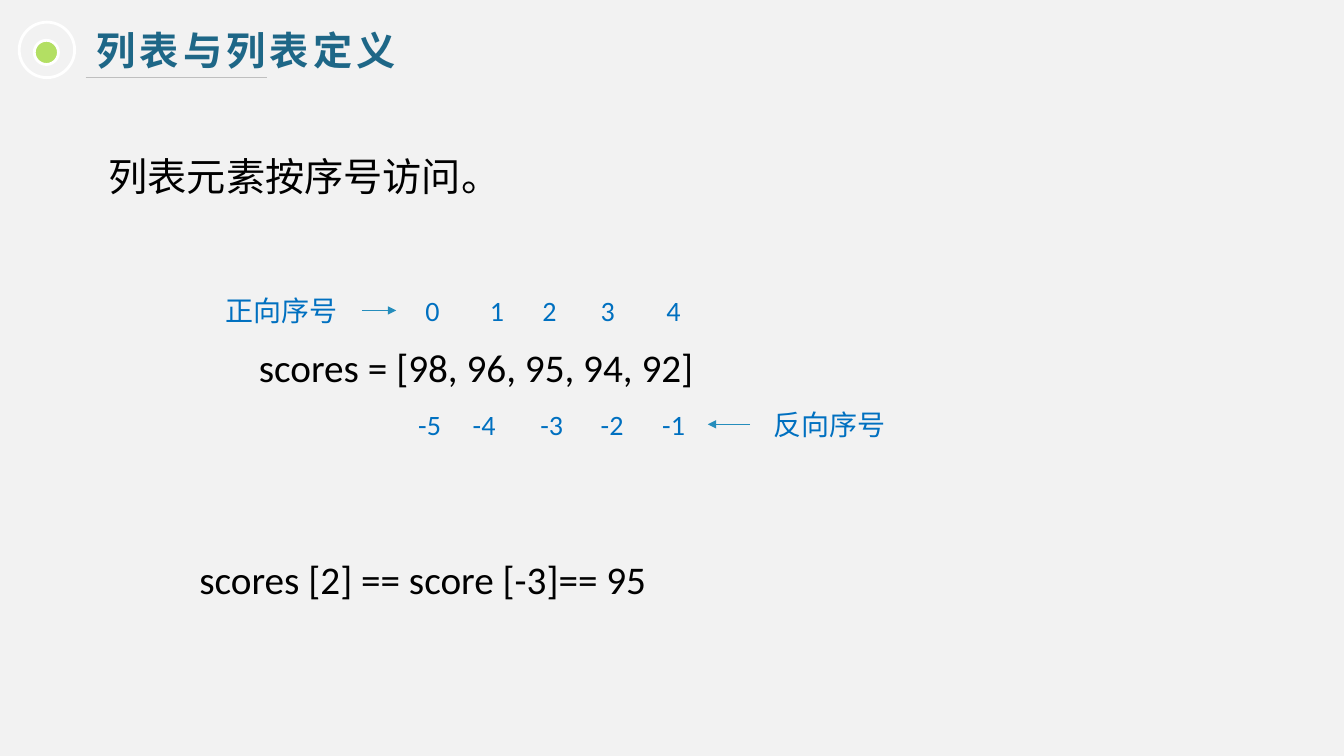
from lxml import etree
from pptx import Presentation
from pptx.dml.color import RGBColor
from pptx.enum.shapes import MSO_CONNECTOR as CONNECTOR, MSO_SHAPE as SHAPE
from pptx.enum.text import MSO_ANCHOR as ANCHOR
from pptx.oxml.ns import qn
from pptx.util import Inches, Pt

COLORS = {
    "background": "F2F2F2", "title": "1E6787", "green": "B3DF63",
    "white": "FFFFFF", "rule": "BFBFBF", "body": "000000",
    "index": "0070C0", "arrow": "258DBC",
}
CJK_FONT = "Noto Sans CJK SC"


def color(name):
    return RGBColor.from_string(COLORS[name])


def add_text(page, text, left, top, width, size, color_name, font="Calibri",
             bold=False, spacing=0, tabs=()):
    box = page.shapes.add_textbox(Inches(left), Inches(top), Inches(width), Inches(0.57))
    frame = box.text_frame
    frame.word_wrap = True
    frame.vertical_anchor = ANCHOR.MIDDLE if tabs else ANCHOR.TOP
    para = frame.paragraphs[0]
    span = para.add_run()
    span.text = text
    para.font.name = font
    para.font.size = Pt(size)
    para.font.bold = bold
    para.font.color.rgb = color(color_name)
    # East Asian typeface and letter spacing
    props = span.font._element
    etree.SubElement(props, qn("a:ea"), typeface=CJK_FONT)
    if spacing:
        props.set("spc", str(spacing * 100))
    # Tab stops, measured from the left edge of the text
    if tabs:
        stops = etree.Element(qn("a:tabLst"))
        for stop in tabs:
            etree.SubElement(stops, qn("a:tab"), pos=str(Inches(stop)), algn="l")
        para._p.get_or_add_pPr().insert(0, stops)


def add_circle(page, left, top, size, fill=None):
    circle = page.shapes.add_shape(
        SHAPE.OVAL, Inches(left), Inches(top), Inches(size), Inches(size))
    circle.shadow.inherit = False
    if fill:
        circle.fill.solid()
        circle.fill.fore_color.rgb = color(fill)
    else:
        circle.fill.background()
    circle.line.color.rgb = color("white")
    circle.line.width = Pt(2)


def add_line(page, start, end, y, color_name, arrow=False):
    line = page.shapes.add_connector(
        CONNECTOR.STRAIGHT, Inches(start), Inches(y), Inches(end), Inches(y))
    line.line.color.rgb = color(color_name)
    line.line.width = Pt(0.75)
    if arrow:
        etree.SubElement(line.line._get_or_add_ln(), qn("a:tailEnd"), type="triangle")
    etree.SubElement(line._element.spPr, qn("a:effectLst"))


def main():
    deck = Presentation()
    deck.slide_width, deck.slide_height = Inches(13.33), Inches(7.5)
    page = deck.slides.add_slide(deck.slide_layouts[6])
    page.background.fill.solid()
    page.background.fill.fore_color.rgb = color("background")

    # Heading
    add_text(page, "列表与列表定义", 0.86, 0.21, 6.84, 28, "title",
             font=CJK_FONT, bold=True, spacing=3)
    add_circle(page, 0.34, 0.4, 0.24, fill="green")
    add_circle(page, 0.19, 0.22, 0.55)
    add_line(page, 0.85, 2.65, 0.77, "rule")

    # Statements
    for text, left, top in [
        ("列表元素按序号访问。", 0.98, 1.46),
        ("scores = [98, 96, 95, 94, 92]", 2.47, 3.36),
        ("scores [2] == score [-3]== 95", 1.88, 5.46),
    ]:
        add_text(page, text, left, top, 7.07, 28, "body")

    # Forward indices above the list, backward indices below it
    forward = ["正向序号", "0", "1", "2", "3", "4"]
    add_text(page, "\t".join(forward), 2.14, 2.79, 5.53, 20, "index",
             tabs=(1.98, 2.62, 3.14, 3.72, 4.37))
    add_line(page, 3.59, 3.93, 3.08, "arrow", arrow=True)
    backward = ["", "-5", "-4", "-3", "-2", "-1", "反向序号"]
    add_text(page, "\t".join(backward), 3.42, 3.92, 5.53, 20, "index",
             tabs=(0.63, 1.17, 1.84, 2.44, 3.05, 4.15))
    add_line(page, 7.44, 7.02, 4.21, "arrow", arrow=True)

    deck.save("out.pptx")


if __name__ == "__main__":
    main()
